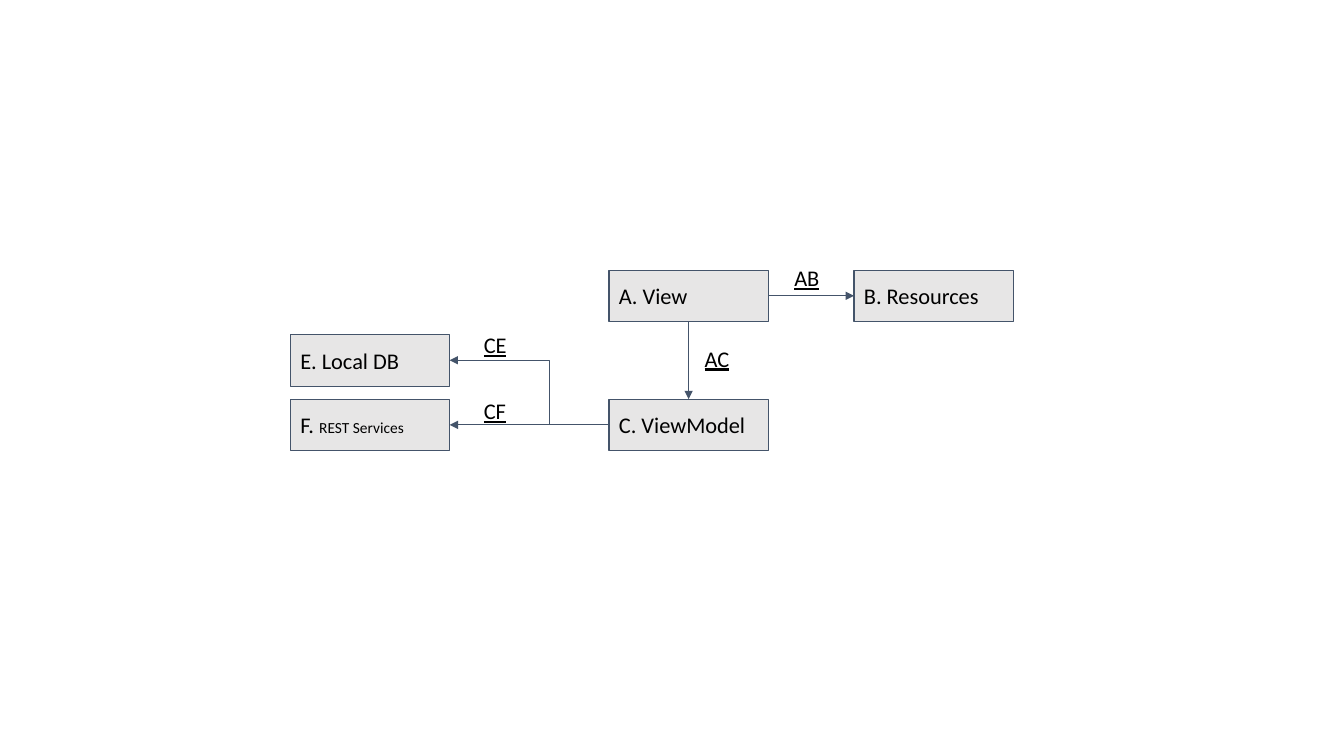
from lxml import etree
from pptx import Presentation
from pptx import util as u
from pptx.dml.color import RGBColor
from pptx.enum import shapes, text
from pptx.oxml.ns import qn

TOP, LEFT, BOTTOM, RIGHT = range(4)


def color(value):
    return RGBColor.from_string(value)


class Diagram:
    font = "Calibri"
    size = 16
    ink = "000000"
    fill = "E7E6E6"
    edge = "44546A"
    inset = 0.1

    def __init__(self, page):
        self.page = page

    def set_text(self, shape, spans, anchor, underline=None):
        frame = shape.text_frame
        frame.word_wrap = True
        frame.vertical_anchor = anchor
        frame.margin_left = frame.margin_right = u.Inches(self.inset)
        frame.margin_top = frame.margin_bottom = u.Inches(self.inset)
        para = frame.paragraphs[0]
        para.alignment = text.PP_ALIGN.LEFT
        para.font.name = self.font
        para.font.size = u.Pt(self.size)
        para.font.color.rgb = color(self.ink)
        para.font.underline = underline
        for words, size in spans:
            span = para.add_run()
            span.text = words
            if size != self.size:
                span.font.size = u.Pt(size)

    def box(self, left, top, *spans):
        box = self.page.shapes.add_shape(
            shapes.MSO_SHAPE.RECTANGLE,
            u.Inches(left), u.Inches(top), u.Inches(1.58), u.Inches(0.51))
        box.shadow.inherit = False
        box.fill.solid()
        box.fill.fore_color.rgb = color(self.fill)
        box.line.color.rgb = color(self.edge)
        box.line.width = u.Pt(0.75)
        self.set_text(box, spans, text.MSO_ANCHOR.MIDDLE)
        return box

    def label(self, left, top, words):
        label = self.page.shapes.add_textbox(
            u.Inches(left), u.Inches(top), u.Inches(0.53), u.Inches(0.36))
        self.set_text(label, [(words, self.size)], text.MSO_ANCHOR.TOP, True)

    def arrow(self, start, start_side, end, end_side, bend=None):
        kind = shapes.MSO_CONNECTOR.STRAIGHT
        if bend is not None:
            kind = shapes.MSO_CONNECTOR.ELBOW
        arrow = self.page.shapes.add_connector(kind, 0, 0, 0, 0)
        arrow.begin_connect(start, start_side)
        arrow.end_connect(end, end_side)
        arrow.line.color.rgb = color(self.edge)
        arrow.line.width = u.Pt(0.75)
        properties = arrow._element.spPr
        line = properties.find(qn("a:ln"))
        etree.SubElement(line, qn("a:tailEnd"), type="triangle")
        etree.SubElement(properties, qn("a:effectLst"))
        if bend is not None:
            guides = properties.find(qn("a:prstGeom")).find(qn("a:avLst"))
            etree.SubElement(guides, qn("a:gd"), name="adj1",
                             fmla=f"val {round(bend * 100000)}")


def main():
    deck = Presentation()
    deck.slide_width = u.Inches(13.33)
    deck.slide_height = u.Inches(7.5)
    diagram = Diagram(deck.slides.add_slide(deck.slide_layouts[6]))

    view = diagram.box(6.04, 2.68, ("A. View", 16))
    services = diagram.box(2.88, 3.96, ("F. ", 16), ("REST Services", 11))
    database = diagram.box(2.88, 3.32, ("E. Local DB", 16))
    model = diagram.box(6.04, 3.96, ("C. ViewModel", 16))
    resources = diagram.box(8.47, 2.68, ("B. Resources", 16))

    diagram.arrow(view, RIGHT, resources, LEFT)
    diagram.arrow(view, BOTTOM, model, TOP)
    diagram.arrow(model, LEFT, database, RIGHT, bend=0.375)
    diagram.arrow(model, LEFT, services, RIGHT)

    for left, top, words in [(7.78, 2.52, "AB"), (6.89, 3.32, "AC"),
                             (4.7, 3.19, "CE"), (4.7, 3.84, "CF")]:
        diagram.label(left, top, words)

    deck.save("out.pptx")


if __name__ == "__main__":
    main()
